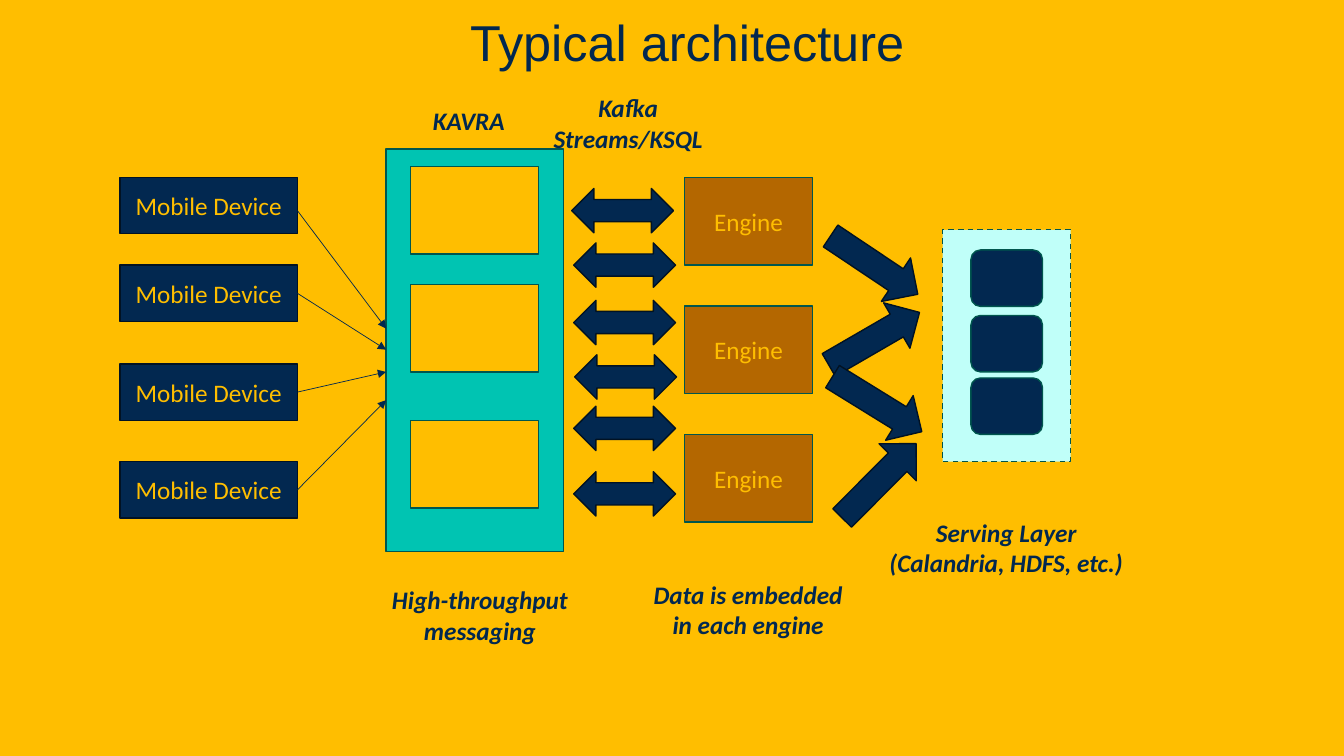
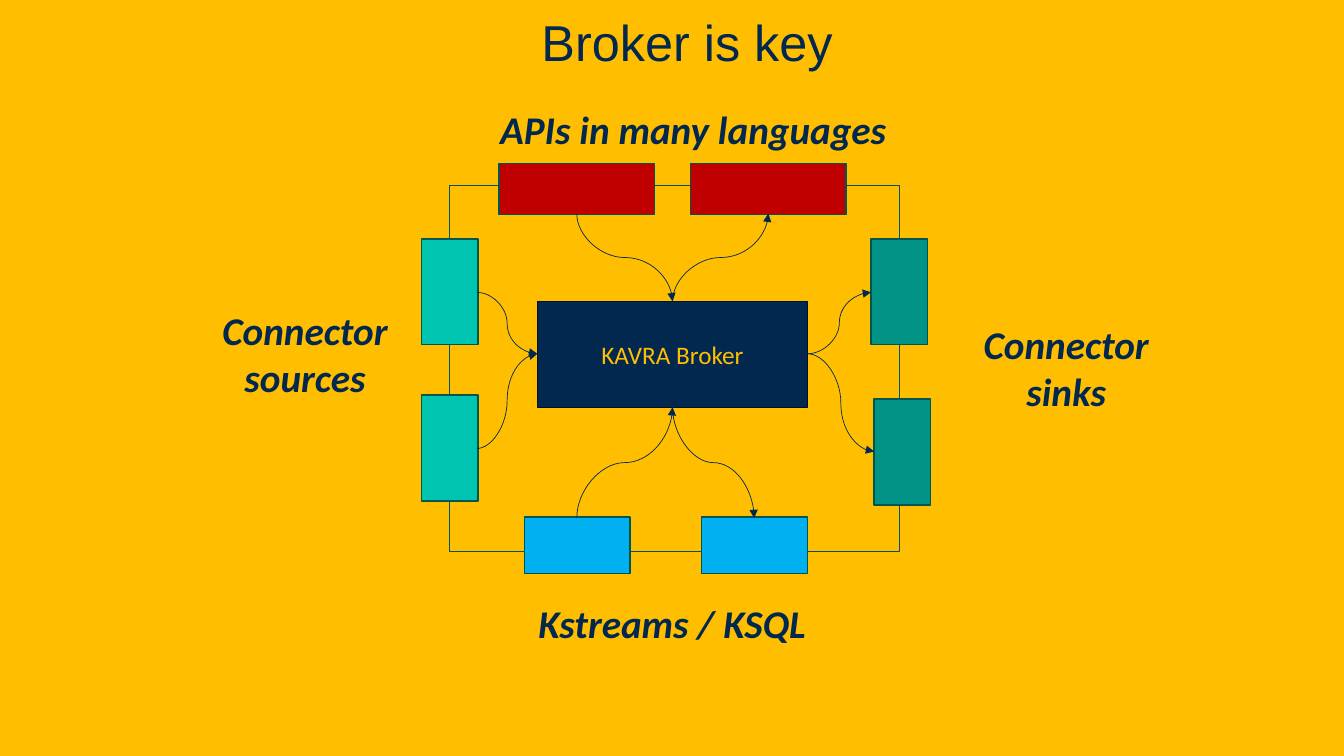
"""Build two slides on a streaming architecture and its central broker."""
import pptx
import pptx.dml.color
import pptx.enum.dml
import pptx.enum.shapes
import pptx.enum.text
import pptx.oxml
import pptx.oxml.ns
import pptx.util

Inches = pptx.util.Inches
SHAPE = pptx.enum.shapes.MSO_SHAPE
CONNECTOR = pptx.enum.shapes.MSO_CONNECTOR
ANCHOR = pptx.enum.text.MSO_ANCHOR

COLORS = {
    "amber": "FFBE00",
    "navy": "022850",
    "navy_edge": "011223",
    "teal": "00C4B2",
    "teal_edge": "00564E",
    "teal_dark": "009386",
    "teal_pale": "C0FFF9",
    "brown": "B46700",
    "red": "C00000",
    "blue": "00B0F0",
}


def rgb(name):
    return pptx.dml.color.RGBColor.from_string(COLORS[name])


def write(frame, text, size, color, font="Calibri", emphasis=False):
    frame.text = text
    paragraph = frame.paragraphs[0]
    paragraph.alignment = pptx.enum.text.PP_ALIGN.CENTER
    paragraph.font.name = font
    paragraph.font.size = pptx.util.Pt(size)
    paragraph.font.color.rgb = rgb(color)
    paragraph.font.bold = paragraph.font.italic = emphasis


def add_slide(deck, title):
    slide = deck.slides.add_slide(deck.slide_layouts[6])
    heading = slide.shapes.add_textbox(0, 0, deck.slide_width, Inches(0.76)).text_frame
    heading.word_wrap = True
    heading.vertical_anchor = ANCHOR.BOTTOM
    heading.margin_left = Inches(0.4)
    write(heading, title, 36, "navy", "Arial")
    return slide


def add_block(slide, box, fill, edge="teal_edge", text="", kind=SHAPE.RECTANGLE, rotation=0):
    block = slide.shapes.add_shape(kind, *map(Inches, box))
    block.shadow.inherit = False
    block.rotation = rotation
    if fill:
        block.fill.solid()
        block.fill.fore_color.rgb = rgb(fill)
    else:
        block.fill.background()
    block.line.color.rgb = rgb(edge)
    block.line.width = pptx.util.Pt(1)
    if text:
        block.text_frame.vertical_anchor = ANCHOR.MIDDLE
        write(block.text_frame, text, 18, "amber")
    return block


def add_caption(slide, box, text, size, wrap=True):
    frame = slide.shapes.add_textbox(*map(Inches, box)).text_frame
    frame.word_wrap = wrap
    write(frame, text, size, "navy", emphasis=True)


def add_arrow(slide, start, end, kind=CONNECTOR.STRAIGHT):
    arrow = slide.shapes.add_connector(kind, *map(Inches, (*start, *end)))
    arrow.line.color.rgb = rgb("navy")
    arrow.line.width = pptx.util.Pt(0.5)
    head = pptx.oxml.parse_xml(f'<a:tailEnd {pptx.oxml.ns.nsdecls("a")} type="triangle"/>')
    arrow.line._get_or_add_ln().append(head)
    effects = pptx.oxml.parse_xml(f'<a:effectLst {pptx.oxml.ns.nsdecls("a")}/>')
    arrow._element.spPr.append(effects)
    return arrow


def add_vertical_curve(slide, start, end):
    """Draw a curve that leaves and arrives vertically, by a quarter turn about its middle."""
    mid_x, mid_y = (start[0] + end[0]) / 2, (start[1] + end[1]) / 2
    turn = 1 if end[1] < start[1] else -1
    turned = [(mid_x + turn * (y - mid_y), mid_y - turn * (x - mid_x)) for x, y in (start, end)]
    curve = add_arrow(slide, *turned, CONNECTOR.CURVE)
    angle = 90 if turn == 1 else 270
    curve._element.spPr.find(pptx.oxml.ns.qn("a:xfrm")).set("rot", str(angle * 60000))


def build_architecture(deck):
    slide = add_slide(deck, "Typical architecture")
    for top in (1.76, 2.63, 3.61, 4.58):
        add_block(slide, (1.19, top, 1.76, 0.56), "navy", "navy_edge", "Mobile Device")

    add_block(slide, (3.83, 1.48, 1.76, 3.99), "teal")
    for top in (1.65, 2.82, 4.17):
        add_block(slide, (4.07, top, 1.27, 0.87), "amber")
    for row in range(3):
        add_block(slide, (6.79, 1.76 + row * 1.275, 1.27, 0.87), "brown", text="Engine")

    serving = add_block(slide, (9.35, 2.28, 1.27, 2.3), "teal_pale")
    serving.line.dash_style = pptx.enum.dml.MSO_LINE.DASH
    for top in (2.48, 3.13, 3.75):
        add_block(slide, (9.63, top, 0.71, 0.56), "navy", kind=SHAPE.ROUNDED_RECTANGLE)

    for device_y, messaging_y in ((2.09, 3.26), (2.91, 3.47), (3.89, 3.69), (4.86, 3.97)):
        add_arrow(slide, (2.95, device_y), (3.83, messaging_y))
    for left, top in ((5.67, 1.87), (5.69, 2.41), (5.69, 2.98),
                      (5.7, 3.52), (5.69, 4.03), (5.69, 4.68)):
        add_block(slide, (left, top, 1.01, 0.44), "navy", "navy_edge",
                  kind=SHAPE.LEFT_RIGHT_ARROW)
    for left, top, angle in ((8.15, 2.37, 33.8), (8.15, 3.1, 329.9),
                             (8.18, 3.75, 31.7), (8.2, 4.51, 314.9)):
        add_block(slide, (left, top, 1.04, 0.52), "navy", "navy_edge",
                  kind=SHAPE.RIGHT_ARROW, rotation=angle)

    add_caption(slide, (8.67, 5.08, 2.62, 0.71),
                "Serving Layer\v(Calandria, HDFS, etc.)", 18, wrap=False)
    for left, top, height, text in (
        (6.27, 5.7, 0.71, "Data is embedded in each engine"),
        (3.61, 5.75, 0.71, "High-throughput messaging"),
        (5.08, 0.87, 0.71, "Kafka Streams/KSQL"),
        (3.5, 1, 0.4, "KAVRA"),
    ):
        add_caption(slide, (left, top, 2.3, height), text, 18)


def build_broker(deck):
    slide = add_slide(deck, "Broker is key")
    add_block(slide, (5.33, 2.99, 2.68, 1.05), "navy", "navy_edge", "KAVRA Broker")
    add_block(slide, (4.46, 1.84, 4.46, 3.63), None)
    for left in (4.95, 6.85):
        add_block(slide, (left, 1.62, 1.54, 0.51), "red")
    for left, top, fill in ((8.64, 2.37, "teal_dark"), (8.67, 3.96, "teal_dark"),
                            (4.18, 2.37, "teal"), (4.18, 3.92, "teal")):
        add_block(slide, (left, top, 0.56, 1.05), fill)
    for left in (5.2, 6.96):
        add_block(slide, (left, 5.13, 1.05, 0.56), "blue")

    add_caption(slide, (4.84, 1, 4.07, 0.57), "APIs in many languages", 28, wrap=False)
    add_caption(slide, (9.58, 3.13, 1.99, 1.04), "Connector sinks", 28)
    add_caption(slide, (2.03, 2.99, 1.99, 1.04), "Connector sources", 28)
    add_caption(slide, (4.97, 5.9, 3.39, 0.57), "Kstreams / KSQL", 28)

    broker_left, broker_right = (5.33, 3.51), (8.01, 3.51)
    broker_top, broker_bottom = (6.67, 2.99), (6.67, 4.04)
    for sink in ((8.64, 2.9), (8.67, 4.48)):
        add_arrow(slide, broker_right, sink, CONNECTOR.CURVE)
    for source in ((4.73, 2.9), (4.73, 4.45)):
        add_arrow(slide, source, broker_left, CONNECTOR.CURVE)
    add_vertical_curve(slide, (5.72, 2.12), broker_top)
    add_vertical_curve(slide, broker_top, (7.62, 2.12))
    add_vertical_curve(slide, broker_bottom, (7.48, 5.14))
    add_vertical_curve(slide, (5.72, 5.14), broker_bottom)


def main():
    deck = pptx.Presentation()
    deck.slide_width, deck.slide_height = Inches(13.33), Inches(7.5)
    backdrop = deck.slide_master.background.fill
    backdrop.solid()
    backdrop.fore_color.rgb = rgb("amber")
    build_architecture(deck)
    build_broker(deck)
    deck.save("out.pptx")


if __name__ == "__main__":
    main()
